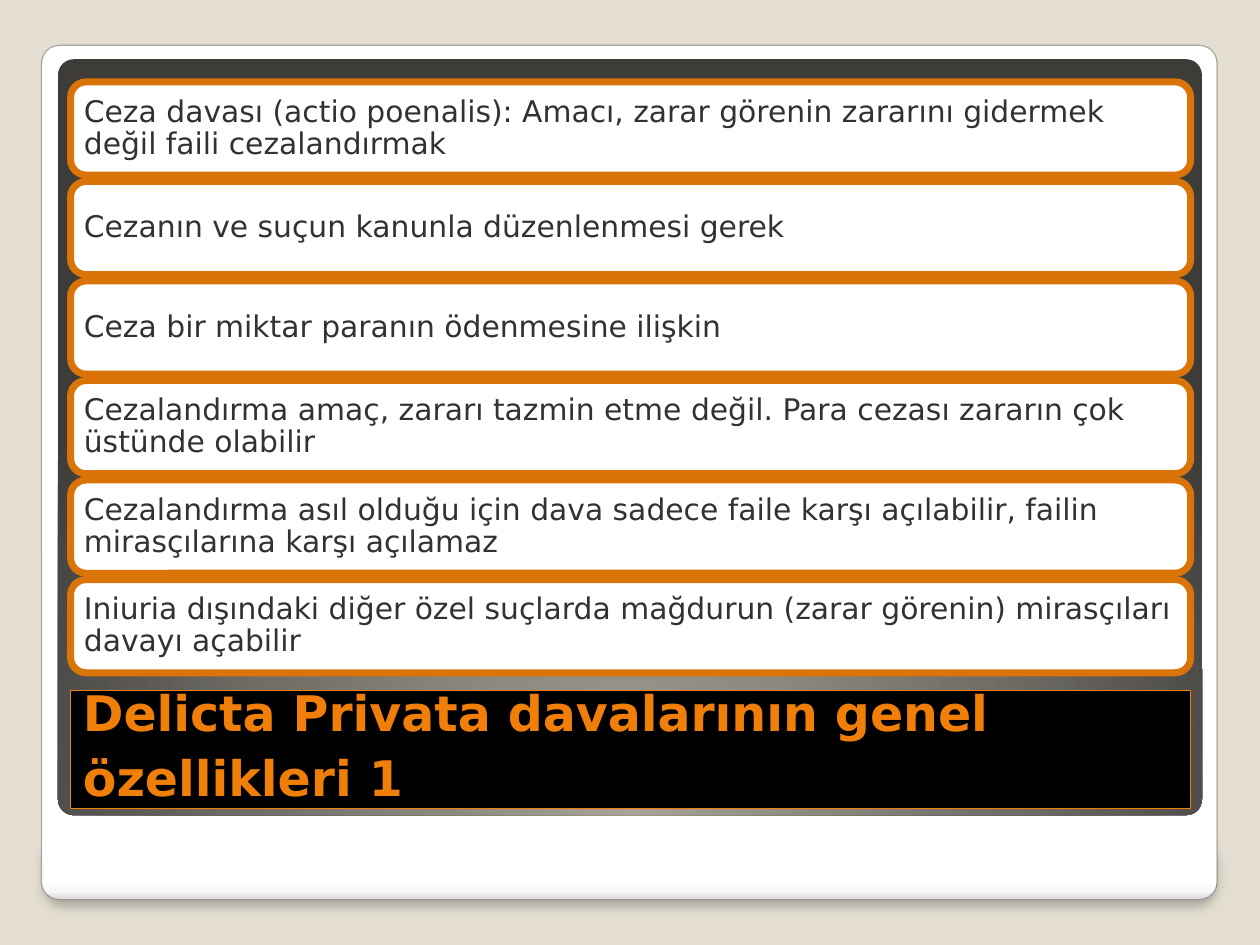
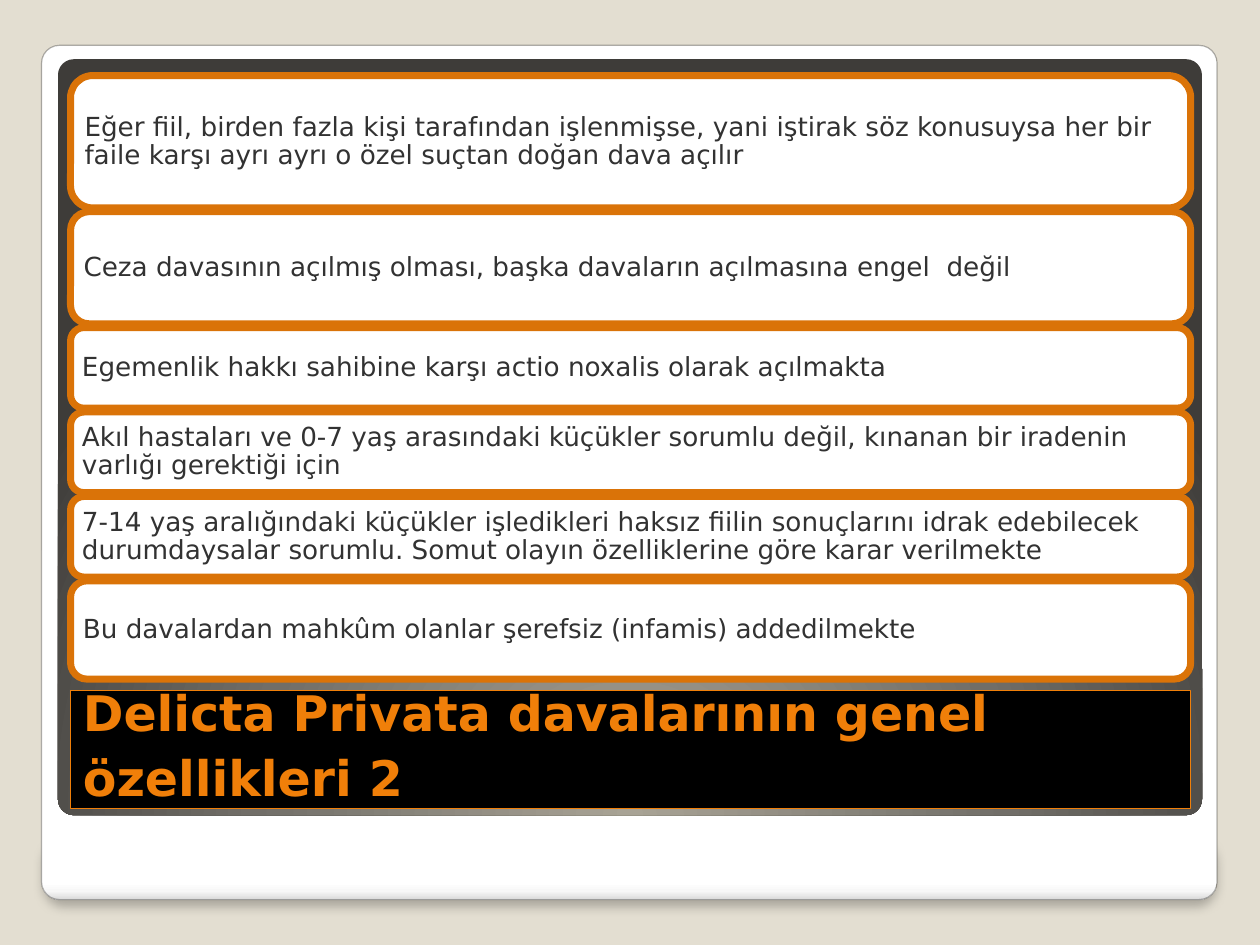
from lxml import etree
from pptx import Presentation
from pptx.dml.color import RGBColor
from pptx.enum.shapes import MSO_SHAPE as SHAPE
from pptx.enum.text import MSO_ANCHOR as ANCHOR, PP_ALIGN as ALIGN
from pptx.oxml import parse_xml
from pptx.oxml.ns import nsdecls, qn
from pptx.util import Inches, Pt

# Shared look
FONT = "DejaVu Sans"
BACKDROP = RGBColor(0xE3, 0xDE, 0xD1)
WHITE = RGBColor(0xFF, 0xFF, 0xFF)
BLACK = RGBColor(0x00, 0x00, 0x00)
FRAME_LINE = RGBColor(0x30, 0x2F, 0x2C)
ORANGE = RGBColor(0xF0, 0x7F, 0x09)
DARK_ORANGE = RGBColor(0xDA, 0x73, 0x08)
INK = RGBColor(0x32, 0x32, 0x32)

PAPER_STOPS = [(0, "FFFFFF"), (98, "FFFFFF"), (99, "F7F7F7"), (100, "DADADA")]
PANEL_STOPS = [(0, "A8A395"), (55, "716E68"), (100, "3E3C39")]
DOWNWARD = '<a:lin ang="5400000" scaled="0"/>'
GLOW_BELOW = ('<a:path path="circle"><a:fillToRect l="100000" t="350000" '
              'r="100000" b="100000"/></a:path>')

# Frame parts: position, corner, stops, direction, outlined, shadowed
FRAME = [
    ((0.35, 6.63, 9.3, 0.5), 0.333, PAPER_STOPS, DOWNWARD, True, True),
    ((0.33, 0.36, 9.33, 6.78), 0.021, PAPER_STOPS, DOWNWARD, True, False),
    ((0.46, 0.47, 9.08, 6), 0.021, PANEL_STOPS, GLOW_BELOW, False, False),
]
CONTENT_LEFT, CONTENT_WIDTH = 0.56, 8.89
TITLE_TOP, TITLE_HEIGHT = 5.48, 0.94
TITLE_STYLE = {"name": FONT, "size": Pt(28), "bold": True}

SLIDES = [
    {
        "title": "Delicta Privata davalarının genel özellikleri 1",
        "top": 0.65, "gap": 0.05, "size": 17, "inset": 0.07,
        "rows": [
            (0.74, "Ceza davası (actio poenalis): Amacı, zarar görenin zararını "
                   "gidermek değil faili cezalandırmak"),
            (0.74, "Cezanın ve suçun kanunla düzenlenmesi gerek"),
            (0.74, "Ceza bir miktar paranın ödenmesine ilişkin"),
            (0.74, "Cezalandırma amaç, zararı tazmin etme değil. Para cezası "
                   "zararın çok üstünde olabilir"),
            (0.74, "Cezalandırma asıl olduğu için dava sadece faile karşı "
                   "açılabilir, failin mirasçılarına karşı açılamaz"),
            (0.74, "Iniuria dışındaki diğer özel suçlarda mağdurun (zarar "
                   "görenin) mirasçıları davayı açabilir"),
        ],
    },
    {
        "title": "Delicta Privata davalarının genel özellikleri 2",
        "top": 0.6, "gap": 0.03, "size": 15, "inset": 0.06,
        "rows": [
            (1.05, "Eğer fiil, birden fazla kişi tarafından işlenmişse, yani "
                   "iştirak söz konusuysa her bir faile karşı ayrı ayrı o özel "
                   "suçtan doğan dava açılır"),
            (0.89, "Ceza davasının açılmış olması, başka davaların açılmasına "
                   "engel  değil"),
            (0.64, "Egemenlik hakkı sahibine karşı actio noxalis olarak açılmakta"),
            (0.64, "Akıl hastaları ve 0-7 yaş arasındaki küçükler sorumlu değil, "
                   "kınanan bir iradenin varlığı gerektiği için"),
            (0.64, "7-14 yaş aralığındaki küçükler işledikleri haksız fiilin "
                   "sonuçlarını idrak edebilecek durumdaysalar sorumlu. Somut "
                   "olayın özelliklerine göre karar verilmekte"),
            (0.78, "Bu davalardan mahkûm olanlar şerefsiz (infamis) addedilmekte"),
        ],
    },
]


def add_box(page, kind, place, fill, line=None, line_width=0):
    box = page.shapes.add_shape(kind, *[Inches(length) for length in place])
    box.shadow.inherit = False
    box.fill.solid()
    box.fill.fore_color.rgb = fill
    if line is None:
        box.line.fill.background()
    else:
        box.line.color.rgb = line
        box.line.width = Pt(line_width)
    return box


def write_text(box, text, style, color, spacing, anchor, insets):
    frame = box.text_frame
    frame.word_wrap = True
    frame.vertical_anchor = anchor
    for side, inset in zip(("left", "top", "right", "bottom"), insets):
        setattr(frame, f"margin_{side}", Inches(inset))
    para = frame.paragraphs[0]
    para.alignment = ALIGN.LEFT
    para.line_spacing = spacing
    span = para.add_run()
    span.text = text
    for name, value in style.items():
        setattr(span.font, name, value)
    span.font.color.rgb = color


deck = Presentation()
deck.slide_width, deck.slide_height = Inches(10), Inches(7.5)
backdrop = deck.slide_master.background.fill
backdrop.solid()
backdrop.fore_color.rgb = BACKDROP

for content in SLIDES:
    page = deck.slides.add_slide(deck.slide_layouts[6])

    # Paper frame and dark panel
    for place, corner, stops, direction, outlined, shadowed in FRAME:
        box = add_box(page, SHAPE.ROUNDED_RECTANGLE, place, WHITE,
                      FRAME_LINE if outlined else None, 0.67)
        box.adjustments[0] = corner
        props = box._element.spPr
        stop_xml = "".join(
            f'<a:gs pos="{position * 1000}"><a:srgbClr val="{color}"/></a:gs>'
            for position, color in stops)
        gradient = parse_xml(
            f'<a:gradFill {nsdecls("a")} rotWithShape="1">'
            f'<a:gsLst>{stop_xml}</a:gsLst>{direction}</a:gradFill>')
        props.replace(props.find(qn("a:solidFill")), gradient)
        if outlined:
            line_color = props.find(qn("a:ln")).find(".//" + qn("a:srgbClr"))
            etree.SubElement(line_color, qn("a:alpha"), val="37000")
        if shadowed:
            props.find(qn("a:effectLst")).append(parse_xml(
                f'<a:outerShdw {nsdecls("a")} blurRad="{Pt(6)}" dist="{Pt(4)}" '
                'dir="5400000" rotWithShape="0"><a:srgbClr val="000000">'
                '<a:alpha val="25000"/></a:srgbClr></a:outerShdw>'))

    # Title band
    title = add_box(page, SHAPE.RECTANGLE,
                    (CONTENT_LEFT, TITLE_TOP, CONTENT_WIDTH, TITLE_HEIGHT),
                    BLACK, ORANGE, 0.75)
    write_text(title, content["title"], TITLE_STYLE, ORANGE, 1.1,
               ANCHOR.BOTTOM, (0.1, 0.05, 0.1, 0.02))

    # Stacked statements
    top = content["top"]
    row_style = {"name": FONT, "size": Pt(content["size"])}
    for height, statement in content["rows"]:
        row = add_box(page, SHAPE.ROUNDED_RECTANGLE,
                      (CONTENT_LEFT, top, CONTENT_WIDTH, height),
                      WHITE, DARK_ORANGE, 4)
        write_text(row, statement, row_style, INK, 0.9,
                   ANCHOR.MIDDLE, [content["inset"]] * 4)
        top += height + content["gap"]

deck.save("out.pptx")
